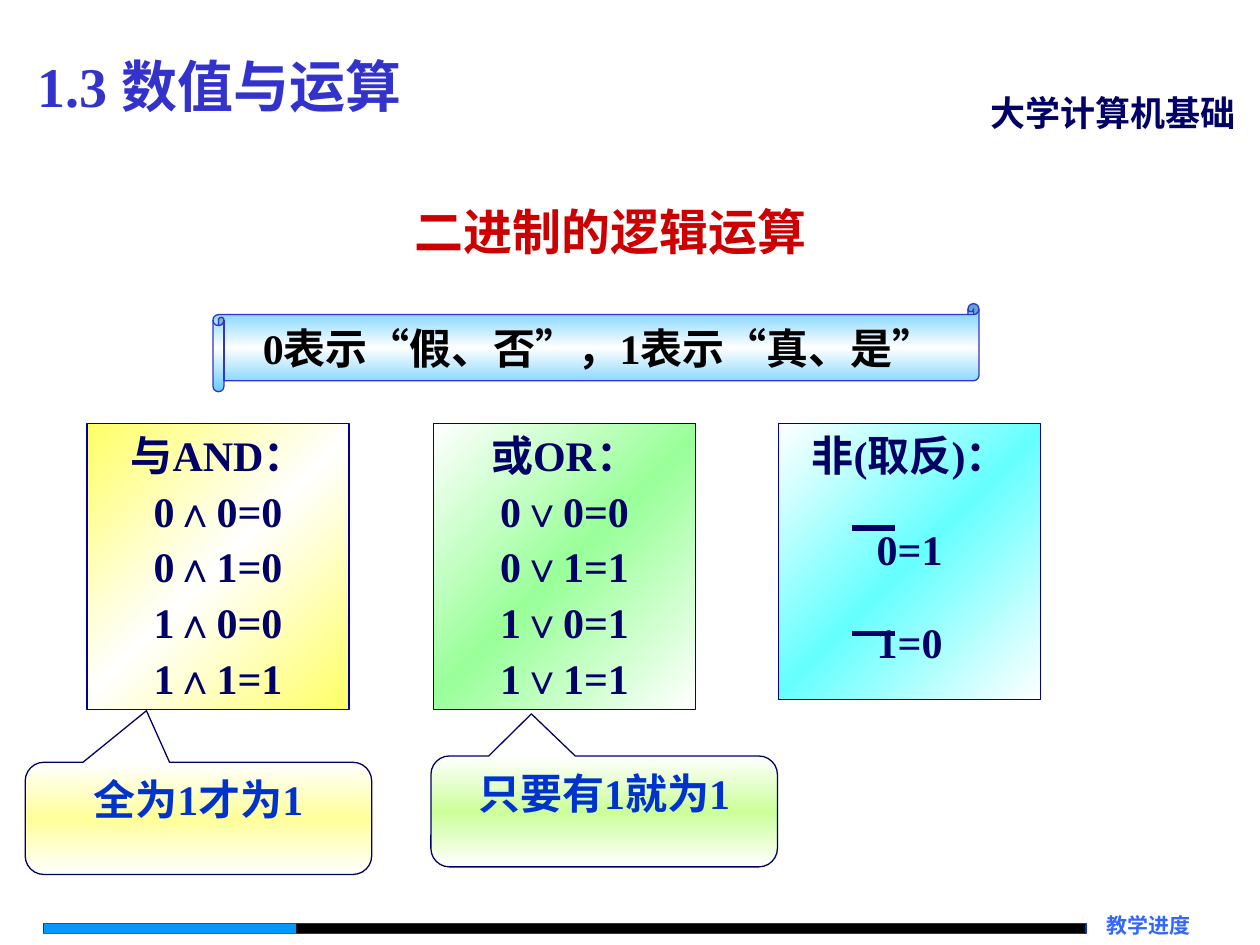
from copy import deepcopy

from pptx import Presentation
from pptx.dml.color import RGBColor
from pptx.enum.shapes import MSO_CONNECTOR, MSO_SHAPE
from pptx.enum.text import MSO_ANCHOR, PP_ALIGN
from pptx.oxml.ns import qn
from pptx.util import Inches, Pt
from lxml import etree

RECT = MSO_SHAPE.RECTANGLE
SCROLL = MSO_SHAPE.HORIZONTAL_SCROLL
CALLOUT = MSO_SHAPE.ROUNDED_RECTANGULAR_CALLOUT
LEFT, CENTER, RIGHT = PP_ALIGN.LEFT, PP_ALIGN.CENTER, PP_ALIGN.RIGHT
TOP, MIDDLE = MSO_ANCHOR.TOP, MSO_ANCHOR.MIDDLE

FONT = "Times New Roman"
WHITE = RGBColor(0xFF, 0xFF, 0xFF)
BLACK = RGBColor(0x00, 0x00, 0x00)
NAVY = RGBColor(0x00, 0x00, 0x66)
BORDER_BLUE = RGBColor(0x00, 0x00, 0x99)
ROYAL = RGBColor(0x00, 0x33, 0xCC)
INDIGO = RGBColor(0x33, 0x33, 0xCC)
LABEL_BLUE = RGBColor(0x33, 0x66, 0xFF)
PROGRESS_BLUE = RGBColor(0x00, 0x99, 0xFF)
RED = RGBColor(0xCC, 0x00, 0x00)
YELLOW = RGBColor(0xFF, 0xFF, 0x66)
GREEN = RGBColor(0x99, 0xFF, 0x99)
CYAN = RGBColor(0x66, 0xFF, 0xFF)
SKY = RGBColor(0x66, 0xCC, 0xFF)
PALE_YELLOW = RGBColor(0xFF, 0xFF, 0x99)
LIME = RGBColor(0xCC, 0xFF, 0x99)

DIAGONAL, VERTICAL = 315, 270  # counter-clockwise degrees


def write(frame, lines, size, color, align=CENTER, anchor=TOP, wrap=True, margins=(0.1, 0.05)):
    """Write one paragraph per line; a newline inside a line is a line break."""
    frame.word_wrap = wrap
    frame.vertical_anchor = anchor
    frame.margin_left = frame.margin_right = Inches(margins[0])
    frame.margin_top = frame.margin_bottom = Inches(margins[1])
    for index, line in enumerate(lines):
        paragraph = frame.add_paragraph() if index else frame.paragraphs[0]
        paragraph.alignment = align
        if index:
            paragraph.space_before = Pt(size / 8)
        for part, text in enumerate(line.split("\n")):
            if part:
                paragraph.add_line_break()
            if text:
                run = paragraph.add_run()
                run.text = text
                run.font.name = FONT
                run.font.size = Pt(size)
                run.font.bold = True
                run.font.color.rgb = color


def add_label(slide, box, text, size, color, **layout):
    label = slide.shapes.add_textbox(*map(Inches, box))
    write(label.text_frame, [text], size, color, **layout)


def add_panel(slide, kind, box, line_color=None):
    panel = slide.shapes.add_shape(kind, *map(Inches, box))
    panel.shadow.inherit = False
    if line_color is None:
        panel.line.fill.background()
    else:
        panel.line.color.rgb = line_color
        panel.line.width = Pt(0.75)
    return panel


def fill_banded(panel, edge, middle, angle):
    """Fill with a gradient that runs from edge to middle and back to edge."""
    panel.fill.gradient()
    panel.fill.gradient_angle = angle
    stop_list = panel._element.spPr.find(qn("a:gradFill")).find(qn("a:gsLst"))
    stop_list.insert(1, deepcopy(stop_list[0]))
    stops = zip(panel.fill.gradient_stops, (0, 0.5, 1), (edge, middle, edge))
    for stop, position, color in stops:
        stop.position = position
        stop.color.rgb = color


def add_progress_bar(slide, box, done):
    left, top, width, height = box
    track = add_panel(slide, RECT, box, ROYAL)
    track.fill.solid()
    track.fill.fore_color.rgb = BLACK
    progress = add_panel(slide, RECT, (left, top, done, height))
    progress.fill.solid()
    progress.fill.fore_color.rgb = PROGRESS_BLUE
    add_label(slide, (left + width, top - 0.09, 0.83, 0.21), "教学进度", 12,
              LABEL_BLUE, align=RIGHT, wrap=False, margins=(0, 0))


def add_scroll(slide, box, text):
    scroll = add_panel(slide, SCROLL, box, INDIGO)
    fill_banded(scroll, SKY, WHITE, VERTICAL)
    write(scroll.text_frame, [text], 24, BLACK, anchor=MIDDLE, wrap=False)


def add_operation(slide, box, lines, edge, middle):
    operation = add_panel(slide, RECT, box, BORDER_BLUE)
    fill_banded(operation, edge, middle, DIAGONAL)
    write(operation.text_frame, lines, 24, NAVY)


def truth_table(name, symbol, operate):
    return [name] + [f"{a}{symbol}{b}={operate(a, b)}" for a in (0, 1) for b in (0, 1)]


def add_negation(slide, box):
    left, top = box[:2]
    add_operation(slide, box, ["非(取反)：\n", "0=1\n", "1=0"], WHITE, CYAN)
    for offset in (0.83, 1.67):
        y = Inches(top + offset)
        overbar = slide.shapes.add_connector(
            MSO_CONNECTOR.STRAIGHT, Inches(left + 0.58), y, Inches(left + 0.92), y)
        overbar.line.color.rgb = NAVY
        overbar.line.width = Pt(3)
        etree.SubElement(overbar._element.spPr, qn("a:effectLst"))


def add_callout(slide, box, text, middle, tip):
    callout = add_panel(slide, CALLOUT, box, NAVY)
    callout.adjustments[0], callout.adjustments[1] = tip
    fill_banded(callout, WHITE, middle, VERTICAL)
    write(callout.text_frame, [text], 24, ROYAL, margins=(0.02, 0.05))


def build_slide(slide):
    add_progress_bar(slide, (0.35, 7.33, 8.27, 0.08), 2)
    add_label(slide, (7.76, 0.68, 2.24, 0.43), "大学计算机基础", 20, NAVY, align=LEFT)
    add_label(slide, (0.2, 0.36, 4.57, 0.63), "1.3 数值与运算", 32, INDIGO, align=LEFT)
    add_label(slide, (2.64, 1.55, 4.41, 0.57), "二进制的逻辑运算", 28, RED)
    add_scroll(slide, (1.69, 2.41, 6.08, 0.7), "0表示“假、否”，1表示“真、是”")

    and_lines = truth_table("与AND：", "∧", lambda a, b: a & b)
    or_lines = truth_table("或OR：", "∨", lambda a, b: a | b)
    add_operation(slide, (0.69, 3.36, 2.08, 2.27), and_lines, YELLOW, WHITE)
    add_operation(slide, (3.44, 3.36, 2.08, 2.27), or_lines, WHITE, GREEN)
    add_negation(slide, (6.18, 3.36, 2.08, 2.19))

    add_callout(slide, (0.2, 6.05, 2.75, 0.89), "全为1才为1", PALE_YELLOW, (-0.15, -0.96))
    add_callout(slide, (3.42, 6, 2.75, 0.88), "只要有1就为1", LIME, (-0.21, -0.88))


def main():
    presentation = Presentation()
    presentation.slide_width = Inches(10)
    presentation.slide_height = Inches(7.5)
    build_slide(presentation.slides.add_slide(presentation.slide_layouts[6]))
    presentation.save("out.pptx")


if __name__ == "__main__":
    main()
